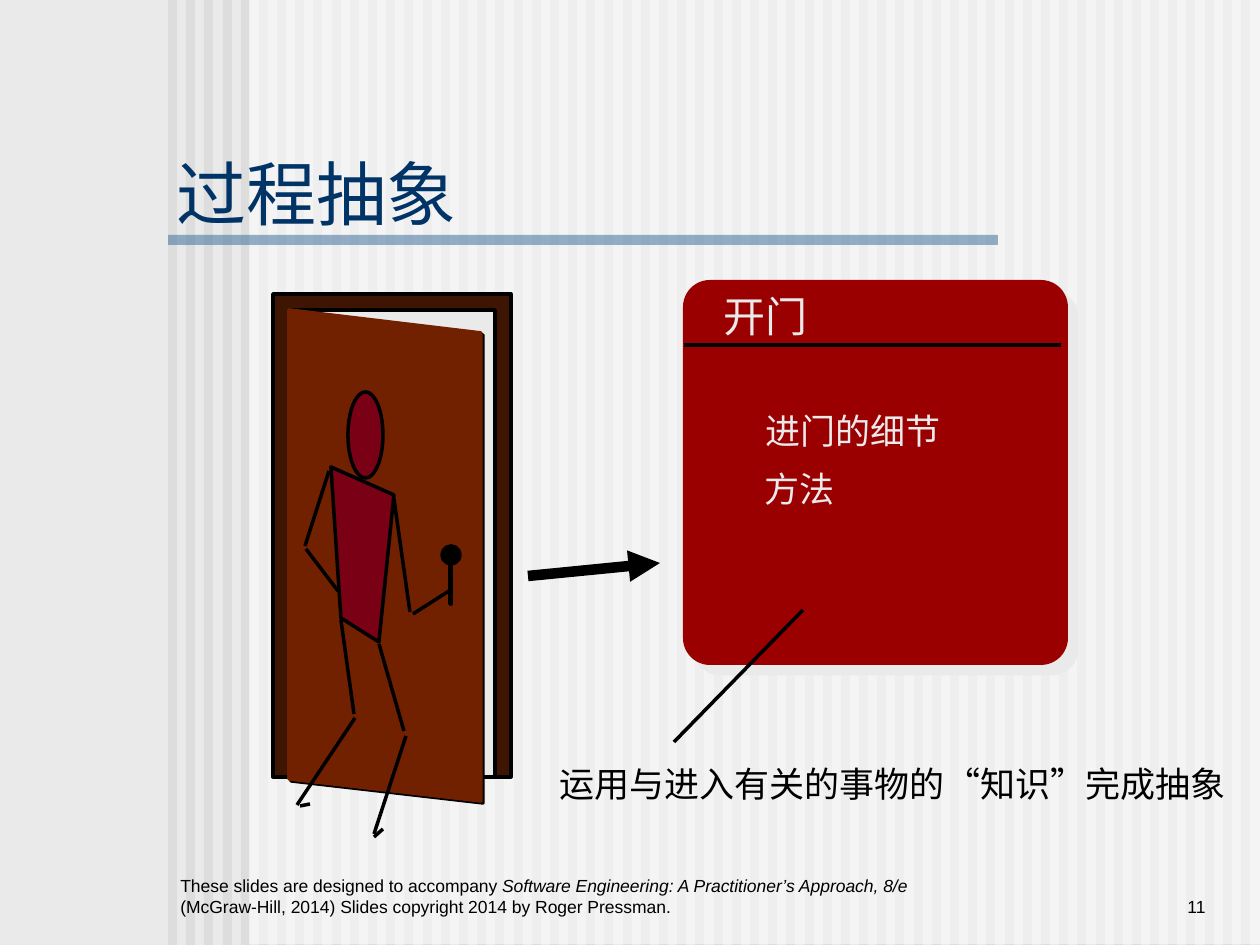
from dataclasses import dataclass

from lxml.etree import SubElement
from pptx import Presentation
from pptx.dml.color import RGBColor
from pptx.enum.lang import MSO_LANGUAGE_ID
from pptx.enum.shapes import MSO_CONNECTOR, MSO_SHAPE
from pptx.enum.text import MSO_ANCHOR, PP_ALIGN
from pptx.oxml.ns import qn
from pptx.util import Pt

EMU_PER_PX = 914400 // 126


@dataclass(frozen=True)
class Theme:
    font: str = "Arial"
    background: str = "EAEAEA"
    stripe: str = "DDDDDD"
    veil: str = "FFFFFF"
    rule: str = "336699"
    title: str = "003366"
    ink: str = "000000"
    light: str = "EAEAEA"
    frame: str = "3E1403"
    door: str = "712000"
    person: str = "790015"
    card: str = "9A0000"
    title_size: int = 40
    heading_size: int = 24
    body_size: int = 20
    footer_size: int = 10
    stroke: int = 2
    arrow_stroke: int = 6


THEME = Theme()
SLIDE_SIZE = (1260, 945)

# Background: stripes run from the first left edge to the last at an equal pitch
STRIPE_COUNT, STRIPE_WIDTH = 60, 9
FIRST_STRIPE, LAST_STRIPE = 168, 1241
VEIL = (249, 0, 1011, 944)
TITLE_RULE = (168, 235, 830, 10)

# text, box, size, colour
LABELS = [
    ("开门", (711, 284, 120, 63), THEME.heading_size, THEME.light),
    ("运用与进入有关的事物的“知识”完成抽象", (547, 756, 704, 54), THEME.body_size, THEME.ink),
    ("进门的细节", (753, 403, 212, 54), THEME.body_size, THEME.light),
    ("方法", (752, 461, 108, 54), THEME.body_size, THEME.light),
]
TITLE, TITLE_BOX = "过程抽象", (168, 147, 310, 92)
FOOTER = [
    ("These slides are designed to accompany ", False),
    ("Software Engineering: A Practitioner’s Approach, 8/e ", True),
    ("(McGraw-Hill, 2014) Slides copyright 2014 by Roger Pressman.", False),
]
FOOTER_BOX = (168, 860, 756, 63)
PAGE_NUMBER, PAGE_NUMBER_BOX = "11", (1040, 860, 178, 63)

# Door and person
DOOR_FRAME = (273, 294, 238, 483)
DOORWAY = (289, 310, 206, 467)
DOOR_LEAF = [(289, 310), (481, 333), (481, 801), (289, 779)]
DOOR_EDGE_OFFSET = 2
KNOB = (442, 546, 18, 18)
HANDLE = (450, 562, 1, 42)
HEAD = (348, 392, 35, 86)
TORSO = [(331, 467), (394, 495), (379, 642), (341, 618)]
LIMBS = [
    ((394, 499), (410, 612)), ((413, 614), (449, 591)),  # right arm
    ((329, 471), (305, 546)), ((306, 549), (338, 591)),  # left arm
    ((379, 644), (404, 731)), ((406, 736), (374, 834)), ((374, 837), (383, 829)),  # right leg
    ((341, 620), (354, 714)), ((355, 718), (297, 805)), ((300, 806), (310, 804)),  # left leg
]

# Card
CARD, CARD_CORNER = (683, 280, 385, 385), 0.07
CARD_DIVIDER = ((684, 345), (1061, 345))
CARD_POINTER = ((803, 610), (674, 742))
ARROW = ((528, 576), (660, 563))


def emu(*lengths):
    return [length * EMU_PER_PX for length in lengths]


def rgb(color):
    return RGBColor.from_string(color)


def style(shape, fill=None, line=None, alpha=None):
    shape.shadow.inherit = False
    if fill:
        shape.fill.solid()
        shape.fill.fore_color.rgb = rgb(fill)
    else:
        shape.fill.background()
    if alpha:
        color = shape._element.spPr.find(qn("a:solidFill"))[0]
        SubElement(color, qn("a:alpha"), val=str(alpha * 1000))
    if line:
        shape.line.color.rgb = rgb(line)
        shape.line.width = Pt(THEME.stroke)
    else:
        shape.line.fill.background()
    return shape


def add_preset(slide, kind, box, **look):
    return style(slide.shapes.add_shape(kind, *emu(*box)), **look)


def add_polygon(slide, points, **look):
    builder = slide.shapes.build_freeform(*points[0], scale=EMU_PER_PX)
    builder.add_line_segments(points[1:], close=True)
    return style(builder.convert_to_shape(), **look)


def add_line(slide, ends, width=THEME.stroke):
    start, end = ends
    connector = slide.shapes.add_connector(MSO_CONNECTOR.STRAIGHT, *emu(*start, *end))
    connector.line.color.rgb = rgb(THEME.ink)
    connector.line.width = Pt(width)
    SubElement(connector._element.spPr, qn("a:effectLst"))
    return connector


def add_text(slide, runs, box, size, color):
    """Add a one-paragraph text box; runs are (text, italic) pairs."""
    text_frame = slide.shapes.add_textbox(*emu(*box)).text_frame
    text_frame.word_wrap = True
    for text, italic in runs:
        run = text_frame.paragraphs[0].add_run()
        run.text = text
        run.font.name = THEME.font
        run.font.size = Pt(size)
        run.font.italic = italic
        run.font.color.rgb = rgb(color)
        if any("一" <= letter <= "龥" for letter in text):
            run.font.language_id = MSO_LANGUAGE_ID.SIMPLIFIED_CHINESE
    return text_frame


def draw_background(slide):
    slide.background.fill.solid()
    slide.background.fill.fore_color.rgb = rgb(THEME.background)
    pitch = (LAST_STRIPE - FIRST_STRIPE) / (STRIPE_COUNT - 1)
    for index in range(STRIPE_COUNT):
        left = round(FIRST_STRIPE + index * pitch)
        box = (left, 0, STRIPE_WIDTH, SLIDE_SIZE[1])
        add_preset(slide, MSO_SHAPE.RECTANGLE, box, fill=THEME.stripe)
    add_preset(slide, MSO_SHAPE.RECTANGLE, VEIL, fill=THEME.veil, alpha=50)
    add_preset(slide, MSO_SHAPE.RECTANGLE, TITLE_RULE, fill=THEME.rule, alpha=50)


def draw_door(slide):
    ink = THEME.ink
    add_preset(slide, MSO_SHAPE.RECTANGLE, DOOR_FRAME, fill=THEME.frame, line=ink)
    add_preset(slide, MSO_SHAPE.RECTANGLE, DOORWAY, fill=THEME.background, line=ink)
    edge = [(x + DOOR_EDGE_OFFSET, y + DOOR_EDGE_OFFSET) for x, y in DOOR_LEAF]
    add_polygon(slide, edge, line=ink)
    add_polygon(slide, DOOR_LEAF, fill=THEME.door, line=THEME.door)
    add_preset(slide, MSO_SHAPE.OVAL, KNOB, fill=ink, line=ink)
    add_preset(slide, MSO_SHAPE.RECTANGLE, HANDLE, fill=ink, line=ink)


def draw_person(slide):
    add_preset(slide, MSO_SHAPE.OVAL, HEAD, fill=THEME.person, line=THEME.ink)
    add_polygon(slide, TORSO, fill=THEME.person, line=THEME.ink)
    for limb in LIMBS:
        add_line(slide, limb)


def draw_card(slide):
    card = add_preset(slide, MSO_SHAPE.ROUNDED_RECTANGLE, CARD, fill=THEME.card)
    card.adjustments[0] = CARD_CORNER
    effects = card._element.spPr.find(qn("a:effectLst"))
    shadow = SubElement(effects, qn("a:outerShdw"), dist=str(Pt(8.5)), dir="2700000",
                        algn="ctr", rotWithShape="0")
    SubElement(shadow, qn("a:srgbClr"), val=THEME.light)
    add_line(slide, CARD_DIVIDER)
    add_line(slide, CARD_POINTER)


def draw_texts(slide):
    title = add_text(slide, [(TITLE, False)], TITLE_BOX, THEME.title_size, THEME.title)
    title.margin_left, title.margin_top, title.margin_right, title.margin_bottom = emu(9, 4, 9, 4)
    for text, box, size, color in LABELS:
        add_text(slide, [(text, False)], box, size, color)
    footer = add_text(slide, FOOTER, FOOTER_BOX, THEME.footer_size, THEME.ink)
    number = add_text(slide, [(PAGE_NUMBER, False)], PAGE_NUMBER_BOX,
                      THEME.footer_size, THEME.ink)
    footer.vertical_anchor = number.vertical_anchor = MSO_ANCHOR.BOTTOM
    number.paragraphs[0].alignment = PP_ALIGN.RIGHT


def main():
    presentation = Presentation()
    presentation.slide_width, presentation.slide_height = emu(*SLIDE_SIZE)
    slide = presentation.slides.add_slide(presentation.slide_layouts[6])
    draw_background(slide)
    arrow = add_line(slide, ARROW, THEME.arrow_stroke)
    SubElement(arrow.line._get_or_add_ln(), qn("a:tailEnd"), type="triangle")
    draw_door(slide)
    draw_person(slide)
    draw_card(slide)
    draw_texts(slide)
    presentation.save("out.pptx")


if __name__ == "__main__":
    main()
